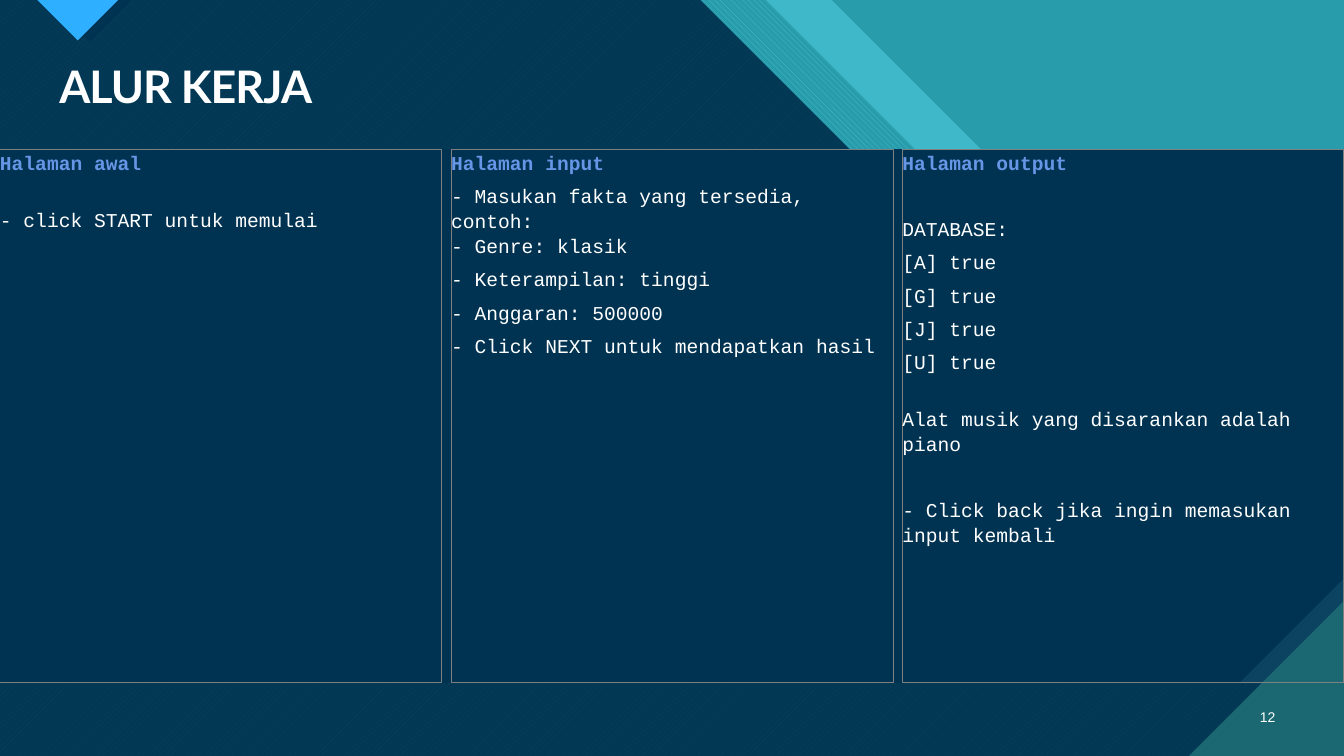
from pptx import Presentation
from pptx.dml.color import RGBColor
from pptx.enum.dml import MSO_PATTERN
from pptx.enum.shapes import MSO_SHAPE
from pptx.enum.text import MSO_ANCHOR, PP_ALIGN
from pptx.util import Cm, Pt

TEAL = RGBColor(0x29, 0x9C, 0xAB)
AQUA = RGBColor(0x47, 0xC3, 0xD3)
PALE_TEAL = RGBColor(0x3F, 0xB9, 0xC9)
DARK_TEAL = RGBColor(0x1B, 0x68, 0x72)
NAVY = RGBColor(0x00, 0x33, 0x52)
NAVY_STRIPE = RGBColor(0x07, 0x41, 0x5F)
NAVY_BASE = RGBColor(0x03, 0x38, 0x55)
STEEL = RGBColor(0x0C, 0x43, 0x60)
SKY = RGBColor(0x2F, 0xAF, 0xFF)
HEADING = RGBColor(0x67, 0x96, 0xE6)
WHITE = RGBColor(0xFF, 0xFF, 0xFF)
GREY = RGBColor(0x80, 0x80, 0x80)

# Lengths in centimetres
WIDTH, HEIGHT = 33.87, 19.05
PANEL_TOP, PANEL_BOTTOM = 3.76, 17.22
SNIP = 2.65
COLUMN_WIDTH, COLUMN_HEIGHT, COLUMN_STEP = 11.13, 13.44, 11.37

# Each column: border width, then (text, space before in points)
COLUMNS = [
    (0.75, [("Halaman awal", 0), ("- click START untuk memulai", 20)]),
    (0.25, [("Halaman input", 0),
            ("- Masukan fakta yang tersedia, contoh:\v- Genre: klasik", 3),
            ("- Keterampilan: tinggi", 3),
            ("- Anggaran: 500000", 3),
            ("- Click NEXT untuk mendapatkan hasil", 3)]),
    (0.75, [("Halaman output", 0),
            ("DATABASE:", 26.5),
            ("[A] true", 3),
            ("[G] true", 3),
            ("[J] true", 3),
            ("[U] true", 3),
            ("Alat musik yang disarankan adalah piano", 20),
            ("- Click back jika ingin memasukan input kembali", 26)]),
]


def write_text(paragraph, text, *, font, size, color=WHITE, bold=False,
               align=PP_ALIGN.LEFT, line_spacing=1.0, before=0, after=0,
               tracking=None):
    paragraph.text = text
    paragraph.alignment = align
    paragraph.line_spacing = line_spacing
    paragraph.space_before = Pt(before)
    paragraph.space_after = Pt(after)
    for run in paragraph.runs:
        run.font.name = font
        run.font.size = Pt(size)
        run.font.bold = bold
        run.font.color.rgb = color
        if tracking is not None:
            run.font._element.set("spc", str(tracking))


def add_polygon(slide, points, color, pattern=None, back_color=None):
    corners = [(Cm(x), Cm(y)) for x, y in points]
    builder = slide.shapes.build_freeform(*corners[0])
    builder.add_line_segments(corners[1:], close=True)
    shape = builder.convert_to_shape()
    shape.shadow.inherit = False
    shape.line.fill.background()
    if pattern is None:
        shape.fill.solid()
        shape.fill.fore_color.rgb = color
    else:
        shape.fill.patterned()
        shape.fill.pattern = pattern
        shape.fill.fore_color.rgb = color
        shape.fill.back_color.rgb = back_color


def add_band(slide, edge, *fill):
    """Fill everything left of a 45 degree edge that starts at the slide's top."""
    drop = 7.54
    add_polygon(slide, [(0, 0), (edge, 0), (edge + drop, drop), (WIDTH, drop),
                        (WIDTH, HEIGHT), (0, HEIGHT)], *fill)


def add_pointer(slide, left, half_width, color):
    add_polygon(slide, [(left, 0), (left + half_width, half_width),
                        (left + 2 * half_width, 0)], color)


def add_panel(slide, snip, color):
    add_polygon(slide, [(0, PANEL_TOP), (WIDTH, PANEL_TOP),
                        (WIDTH, PANEL_BOTTOM - snip),
                        (WIDTH - snip, PANEL_BOTTOM), (0, PANEL_BOTTOM)], color)


def add_backdrop(slide):
    slide.background.fill.solid()
    slide.background.fill.fore_color.rgb = TEAL
    # Diagonal bands
    add_band(slide, 20.96, PALE_TEAL)
    add_band(slide, 19.3, AQUA, MSO_PATTERN.WIDE_DOWNWARD_DIAGONAL, TEAL)
    add_band(slide, 17.65, NAVY_STRIPE, MSO_PATTERN.WIDE_UPWARD_DIAGONAL, NAVY_BASE)
    # Pointer at the top with its shade
    add_pointer(slide, 1.22, 1.05, NAVY)
    add_pointer(slide, 0.94, 1.02, SKY)
    # Content panel and corner
    add_panel(slide, 0, STEEL)
    add_panel(slide, SNIP, NAVY)
    corner = 3.91
    add_polygon(slide, [(WIDTH - corner, HEIGHT), (WIDTH, HEIGHT),
                        (WIDTH, HEIGHT - corner)], DARK_TEAL)


def add_column(slide, index, border, lines):
    shape = slide.shapes.add_shape(
        MSO_SHAPE.RECTANGLE, Cm(index * COLUMN_STEP), Cm(PANEL_TOP),
        Cm(COLUMN_WIDTH), Cm(COLUMN_HEIGHT))
    shape.shadow.inherit = False
    shape.fill.background()
    shape.line.color.rgb = GREY
    shape.line.width = Pt(border)
    frame = shape.text_frame
    frame.word_wrap = True
    frame.vertical_anchor = MSO_ANCHOR.TOP
    frame.margin_left = frame.margin_right = 0
    frame.margin_top = frame.margin_bottom = 0
    for number, (text, before) in enumerate(lines):
        heading = number == 0
        paragraph = frame.paragraphs[0] if heading else frame.add_paragraph()
        write_text(paragraph, text, font="Courier New", size=14, bold=heading,
                   color=HEADING if heading else WHITE, line_spacing=1.06,
                   before=before, after=3)


def format_title(slide, text):
    title = slide.shapes.title
    title.left, title.top = Cm(1.24), Cm(1.5)
    title.width, title.height = Cm(31.14), Cm(1.5)
    title.text_frame.vertical_anchor = MSO_ANCHOR.MIDDLE
    write_text(title.text_frame.paragraphs[0], text, font="Lato", size=32,
               bold=True, line_spacing=0.9, tracking=-70)
    # Bring the title in front of the backdrop
    slide.shapes.element.append(title.element)


def add_page_number(slide, text):
    box = slide.shapes.add_textbox(Cm(31.27), Cm(17.55), Cm(1.12), Cm(1.02))
    box.text_frame.word_wrap = True
    box.text_frame.vertical_anchor = MSO_ANCHOR.MIDDLE
    write_text(box.text_frame.paragraphs[0], text, font="Arial", size=10,
               align=PP_ALIGN.RIGHT)


def main():
    presentation = Presentation()
    presentation.slide_width = Cm(WIDTH)
    presentation.slide_height = Cm(HEIGHT)
    slide = presentation.slides.add_slide(presentation.slide_layouts[5])
    add_backdrop(slide)
    format_title(slide, "ALUR KERJA")
    for index, (border, lines) in enumerate(COLUMNS):
        add_column(slide, index, border, lines)
    add_page_number(slide, "12")
    presentation.save("out.pptx")


if __name__ == "__main__":
    main()
